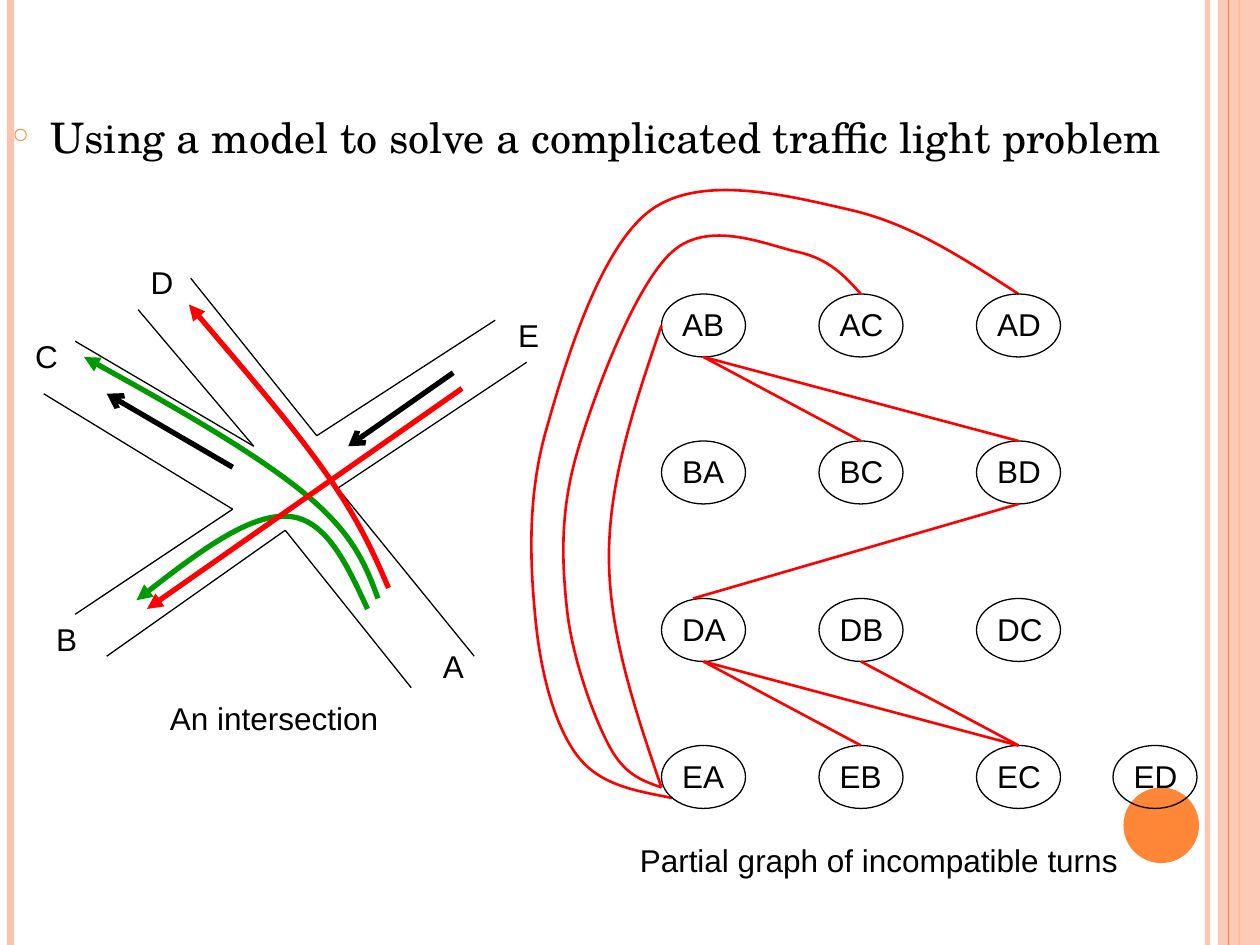
from lxml import etree
from pptx import Presentation
from pptx.dml.color import RGBColor
from pptx.enum import shapes, text
from pptx.oxml import ns
from pptx.util import Pt

COLORS = {
    "black": "000000",
    "red": "FF0000",
    "green": "009900",
    "orange": "FE8637",
    "peach": "FEC3AE",
}
LABEL_FONT, TITLE_FONT = "Arial", "TeX Gyre Schola"

# Road edges: each one bends once, at a corner of the intersection
ROAD_EDGES = [
    [(79, 177), (145, 255), (43, 195)],
    [(25, 225), (133, 291), (43, 351)],
    [(61, 375), (163, 303), (235, 393)],
    [(109, 159), (181, 249), (283, 183)],
    [(301, 207), (193, 279), (271, 375)],
]
ROAD_LABELS = {"A": (246, 366), "B": (25, 351), "C": (13, 189),
               "D": (79, 147), "E": (289, 177)}

# Curves: a start point, then two controls and an end for each segment
TURNS = [
    ("green", [(210, 348), (198, 322), (186, 296), (164, 295),
               (142, 294), (110, 318), (78, 343)]),
    ("green", [(216, 342), (209, 323), (202, 305), (174, 282),
               (146, 259), (97, 231), (48, 204)]),
    ("red", [(222, 336), (214, 317), (205, 297), (186, 270),
             (167, 243), (137.5, 209), (108, 174)]),
]
AD_EA = [(582, 168), (551, 148), (521, 128), (486, 120),
         (451, 112), (401, 99), (372, 120),
         (343, 141), (323, 207), (312, 246),
         (301, 285), (303, 323), (306, 354),
         (309, 385), (317, 415), (330, 432),
         (343, 449), (364, 452), (384, 456)]
AC_EA = [(492, 168), (483, 158), (474, 148), (456, 144),
         (438, 140), (405, 125), (384, 144),
         (363, 163), (340, 224), (330, 258),
         (320, 292), (321, 320), (324, 348),
         (327, 376), (339, 409), (348, 426),
         (357, 443), (367, 446), (378, 450)]
AB_EA = [(378, 186), (363, 230), (348, 274), (348, 318),
         (348, 362), (363, 406), (378, 450)]

# Graph grid
COLUMNS = [378, 468, 558, 636]
ROWS = {168: ["AB", "AC", "AD"], 252: ["BA", "BC", "BD"],
        342: ["DA", "DB", "DC"], 426: ["EA", "EB", "EC", "ED"]}
NODE_W, NODE_H = 48, 36
STRAIGHT_EDGES = [("AB", "BD"), ("AB", "BC"), ("DB", "EC"),
                  ("DA", "EC"), ("DA", "EB")]


def rgb(color):
    return RGBColor.from_string(COLORS[color])


def set_opacity(element, percent):
    """Make the only colour below the element partly transparent."""
    for clr in element.iter(ns.qn("a:srgbClr")):
        etree.SubElement(clr, ns.qn("a:alpha"), val=str(percent * 1000))


def style_line(line, color, width, head=None):
    line.color.rgb = rgb(color)
    line.width = Pt(width)
    if head:
        ln = line._get_or_add_ln()
        etree.SubElement(ln, ns.qn("a:tailEnd"), type=head)


def add_line(slide, start, end, color, width, head=None):
    line = slide.shapes.add_connector(
        shapes.MSO_CONNECTOR.STRAIGHT, *(Pt(v) for v in (*start, *end)))
    style_line(line.line, color, width, head)
    etree.SubElement(line._element.spPr, ns.qn("a:effectLst"))
    return line


def add_curve(slide, points, color, width, head=None):
    (x, y), *rest = [(Pt(px), Pt(py)) for px, py in points]
    builder = slide.shapes.build_freeform(x, y, scale=1.0)
    builder.add_line_segments(rest, close=False)
    curve = builder.convert_to_shape()
    curve.shadow.inherit = False
    curve.fill.background()
    style_line(curve.line, color, width, head)
    # Join every three straight segments into one Bezier segment
    steps = list(curve._element.iter(ns.qn("a:lnTo")))
    for i in range(0, len(steps), 3):
        bezier = etree.Element(ns.qn("a:cubicBezTo"))
        steps[i].addprevious(bezier)
        for step in steps[i:i + 3]:
            bezier.append(step[0])
            step.getparent().remove(step)


def add_block(slide, kind, left, top, width, height, fill=None):
    block = slide.shapes.add_shape(
        kind, Pt(left), Pt(top), Pt(width), Pt(height))
    block.shadow.inherit = False
    if fill:
        block.fill.solid()
        block.fill.fore_color.rgb = rgb(fill)
        block.line.fill.background()
    else:
        block.fill.background()
        style_line(block.line, "black", 0.75)
    return block


def add_run(paragraph, wording, font, size):
    run = paragraph.add_run()
    run.text = wording
    run.font.name, run.font.size = font, Pt(size)
    run.font.color.rgb = rgb("black")


def add_label(slide, wording, left, top, width):
    label = slide.shapes.add_textbox(Pt(left), Pt(top), Pt(width), Pt(29))
    frame = label.text_frame
    frame.word_wrap = False
    frame.auto_size = text.MSO_AUTO_SIZE.SHAPE_TO_FIT_TEXT
    add_run(frame.paragraphs[0], wording, LABEL_FONT, 18)


def add_frame(slide):
    """Coloured bars at the edges and the round badge."""
    inner = add_line(slide, (690, 0), (690, 540), "peach", 3)
    set_opacity(inner._element, 93)
    add_line(slide, (6, 0), (6, 540), "peach", 4.5)
    add_line(slide, (708, 0), (708, 540), "orange", 1.5)
    band = add_block(slide, shapes.MSO_SHAPE.RECTANGLE,
                     696, 0, 24, 540, "peach")
    set_opacity(band._element, 87)
    add_line(slide, (702, 0), (702, 540), "orange", 0.75)
    add_block(slide, shapes.MSO_SHAPE.OVAL, 642, 450, 43.2, 43.2, "orange")


def add_heading(slide, wording):
    heading = slide.shapes.add_textbox(Pt(0), Pt(60), Pt(720), Pt(84))
    heading.text_frame.word_wrap = True
    paragraph = heading.text_frame.paragraphs[0]
    props = paragraph._p.get_or_add_pPr()
    props.set("marL", str(Pt(21.6)))
    props.set("indent", str(-Pt(21.6)))
    bullet_color = etree.SubElement(props, ns.qn("a:buClr"))
    etree.SubElement(bullet_color, ns.qn("a:srgbClr"), val=COLORS["orange"])
    etree.SubElement(props, ns.qn("a:buSzPct"), val="50000")
    etree.SubElement(props, ns.qn("a:buChar"), char="○")
    add_run(paragraph, wording, TITLE_FONT, 24)


def add_intersection(slide):
    for start, corner, end in ROAD_EDGES:
        add_line(slide, start, corner, "black", 0.75)
        add_line(slide, corner, end, "black", 0.75)
    add_line(slide, (133, 267), (61, 225), "black", 3, "arrow")
    add_line(slide, (259, 213), (199, 255), "black", 3, "arrow")
    for road, (left, top) in ROAD_LABELS.items():
        add_label(slide, road, left, top, 28)
    add_label(slide, "An intersection", 90, 396, 135)
    for color, points in TURNS:
        add_curve(slide, points, color, 3, "triangle")
    add_line(slide, (264, 222), (84, 348), "red", 3, "triangle")


def add_turn_graph(slide):
    add_curve(slide, AD_EA, "red", 1.5)
    nodes = {}
    for top, turns in ROWS.items():
        for left, turn in zip(COLUMNS, turns):
            add_block(slide, shapes.MSO_SHAPE.OVAL, left, top, NODE_W, NODE_H)
            add_label(slide, turn, left + 4.7, top + 3, 42)
            nodes[turn] = (left + NODE_W / 2, top)
    add_curve(slide, AB_EA, "red", 1.5)
    # Straight edges run from the foot of one node to the head of another
    for upper, lower in STRAIGHT_EDGES:
        x, top = nodes[upper]
        add_line(slide, (x, top + NODE_H), nodes[lower], "red", 1.5)
    add_line(slide, (582, 288), (396, 342), "red", 1.5)
    add_curve(slide, AC_EA, "red", 1.5)
    add_label(slide, "Partial graph of incompatible turns", 358.5, 477, 290)


def main():
    deck = Presentation()
    deck.slide_width, deck.slide_height = Pt(720), Pt(540)
    slide = deck.slides.add_slide(deck.slide_layouts[6])
    add_frame(slide)
    add_heading(slide,
                "Using a model to solve a complicated traffic light problem")
    add_intersection(slide)
    add_turn_graph(slide)
    deck.save("out.pptx")


if __name__ == "__main__":
    main()
